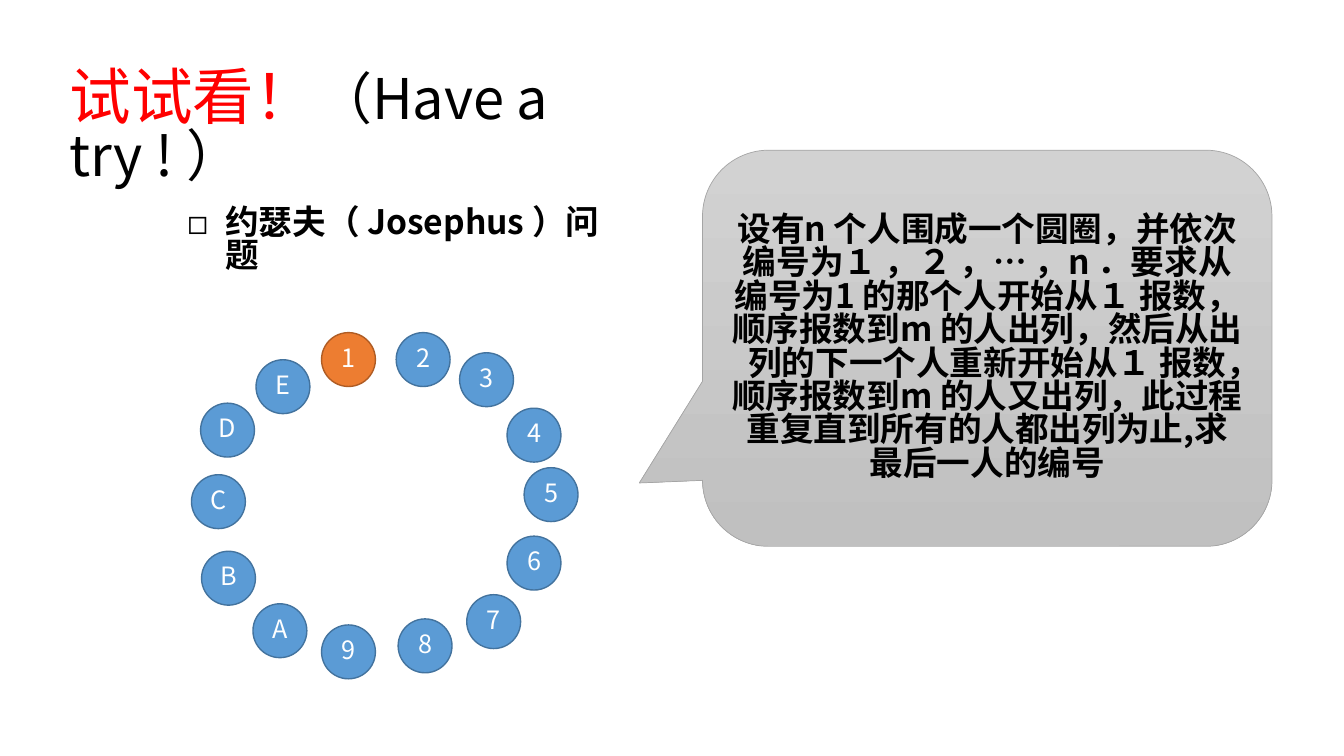
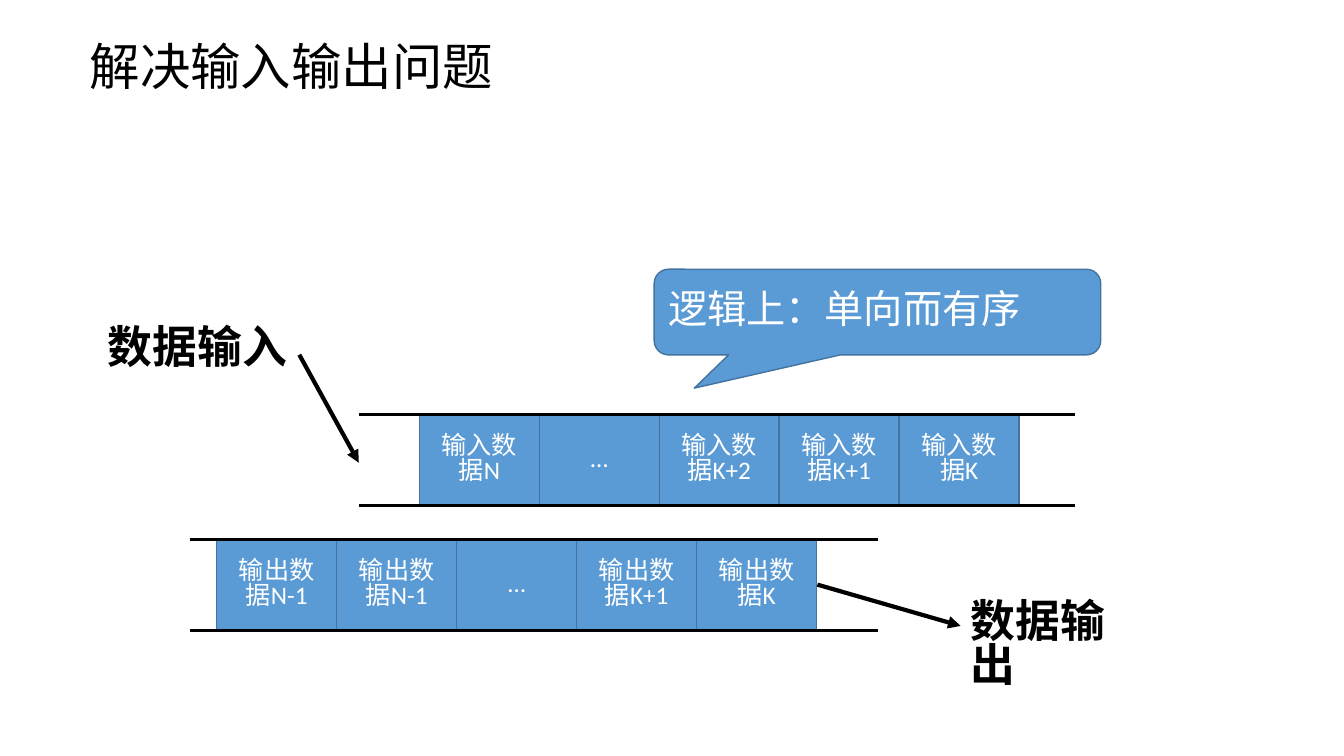
from lxml import etree
from pptx import Presentation
from pptx.dml.color import RGBColor
from pptx.enum.shapes import MSO_CONNECTOR, MSO_SHAPE
from pptx.enum.text import MSO_ANCHOR, MSO_AUTO_SIZE, PP_ALIGN
from pptx.oxml.ns import qn
from pptx.util import Pt

ELLIPSE = MSO_SHAPE.OVAL
RECTANGLE = MSO_SHAPE.RECTANGLE
CALLOUT = MSO_SHAPE.ROUNDED_RECTANGULAR_CALLOUT
STRAIGHT = MSO_CONNECTOR.STRAIGHT
TOP, MIDDLE = MSO_ANCHOR.TOP, MSO_ANCHOR.MIDDLE
LEFT, CENTER = PP_ALIGN.LEFT, PP_ALIGN.CENTER
NO_AUTOFIT = MSO_AUTO_SIZE.NONE

CJK_FONT, LATIN_FONT = "Noto Sans CJK SC", "Calibri"
BLACK, WHITE, RED = "000000", "FFFFFF", "FF0000"
BLUE, BLUE_EDGE = "5B9BD5", "43739E"
ORANGE, ORANGE_EDGE = "ED7D31", "AF5C24"
GREY_TOP, GREY_BOTTOM, GREY_EDGE = "D2D2D2", "C0C0C0", "A5A5A5"
LINE_SPACING = 0.83

PERSON_SIZE = 38.5
PEOPLE = {
    "1": (229.7, 237.6), "2": (283, 237.6), "3": (328.3, 252),
    "4": (362.2, 291.6), "5": (374.4, 334.1), "6": (362.2, 383),
    "7": (333.4, 424.8), "8": (284.4, 442.1), "9": (229.7, 446.4),
    "A": (180.7, 431.3), "B": (144, 393.8), "C": (136.8, 339.1),
    "D": (143.3, 288), "E": (182.9, 257),
}
PROBLEM = (
    "设有n 个人围成一个圆圈，并依次编号为１ ，２ ，⋯ ，n ．"
    "要求从编号为1 的那个人开始从１ 报数，顺序报数到m 的人出列，"
    "然后从出列的下一个人重新开始从１ 报数，顺序报数到m 的人又出列，"
    "此过程重复直到所有的人都出列为止,求最后一人的编号"
)
CELL_WIDTH, CELL_HEIGHT = 85.7, 65
INPUT_CELLS = ["输入数据N", "…", "输入数据K+2", "输入数据K+1", "输入数据K"]
OUTPUT_CELLS = ["输出数据N-1", "输出数据N-1", "…", "输出数据K+1", "输出数据K"]


def rgb(color):
    return RGBColor.from_string(color)


def points(*lengths):
    return [Pt(length) for length in lengths]


def write(shape, runs, align=LEFT, anchor=TOP, bold=False, font=CJK_FONT):
    frame = shape.text_frame
    frame.word_wrap = True
    frame.auto_size = NO_AUTOFIT
    frame.vertical_anchor = anchor
    paragraph = frame.paragraphs[0]
    paragraph.alignment = align
    paragraph.line_spacing = LINE_SPACING
    paragraph.space_before = Pt(0)
    for text, size, color in runs:
        run = paragraph.add_run()
        run.text = text
        run.font.size = Pt(size)
        run.font.bold = bold
        run.font.name = font
        run.font.color.rgb = rgb(color)
        east_asian = etree.Element(qn("a:ea"), typeface=CJK_FONT)
        run.font._element.find(qn("a:latin")).addnext(east_asian)
    return paragraph


def place(shape, box):
    shape.left, shape.top, shape.width, shape.height = points(*box)


def add_title(slide, box, runs):
    place(slide.shapes.title, box)
    write(slide.shapes.title, runs)


def add_bullet(slide, box, text, size, indent):
    body = slide.placeholders[1]
    place(body, box)
    paragraph = write(body, [(text, size, BLACK)], bold=True)
    properties = paragraph._p.get_or_add_pPr()
    properties.set("marL", str(Pt(indent)))
    properties.set("indent", str(-Pt(indent)))
    etree.SubElement(properties, qn("a:buFont"), typeface=CJK_FONT)
    etree.SubElement(properties, qn("a:buChar"), char="◻")


def add_label(slide, box, text, size):
    label = slide.shapes.add_textbox(*points(*box))
    write(label, [(text, size, BLACK)], bold=True)


def add_block(shapes, kind, box, fill=BLUE, edge=BLUE_EDGE, edge_width=1):
    block = shapes.add_shape(kind, *points(*box))
    block.shadow.inherit = False
    if isinstance(fill, tuple):
        block.fill.gradient()
        block.fill.gradient_angle = 270
        for stop, color in zip(block.fill.gradient_stops, fill):
            stop.color.rgb = rgb(color)
    else:
        block.fill.solid()
        block.fill.fore_color.rgb = rgb(fill)
    block.line.color.rgb = rgb(edge)
    block.line.width = Pt(edge_width)
    return block


def add_callout(slide, box, tip, **style):
    callout = add_block(slide.shapes, CALLOUT, box, **style)
    for index, value in enumerate((*tip, 0.167)):
        callout.adjustments[index] = value
    return callout


def add_line(shapes, start, end, width, arrow=False):
    line = shapes.add_connector(STRAIGHT, *points(*start, *end))
    line.line.color.rgb = rgb(BLACK)
    line.line.width = Pt(width)
    if arrow:
        etree.SubElement(line.line._get_or_add_ln(), qn("a:tailEnd"), type="triangle")
    etree.SubElement(line._element.spPr, qn("a:effectLst"))


def add_queue(slide, left, top, labels, rail_start, rail_end):
    queue = slide.shapes.add_group_shape().shapes
    for index, label in enumerate(labels):
        box = (left + index * CELL_WIDTH, top, CELL_WIDTH, CELL_HEIGHT)
        cell = add_block(queue, RECTANGLE, box)
        write(cell, [(label, 18, WHITE)], CENTER, MIDDLE, font=LATIN_FONT)
    for rail in (top, top + CELL_HEIGHT):
        add_line(queue, (rail_start, rail), (rail_end, rail), 2.25)


def build_josephus(slide):
    add_title(slide, (42.5, 46.8, 463.7, 60.5),
              [("试试看！", 44, RED), ("（Have a try ! ）", 40, BLACK)])
    add_bullet(slide, (126.7, 144.7, 314.6, 36), "约瑟夫（ Josephus ）问题", 24, 27)
    for label, (left, top) in PEOPLE.items():
        fill, edge = (ORANGE, ORANGE_EDGE) if label == "1" else (BLUE, BLUE_EDGE)
        box = (left, top, PERSON_SIZE, PERSON_SIZE)
        person = add_block(slide.shapes, ELLIPSE, box, fill, edge)
        write(person, [(label, 18, WHITE)], CENTER, MIDDLE)
    problem = add_callout(slide, (501.8, 107.3, 406.8, 283), (-0.611, 0.34),
                          fill=(GREY_TOP, GREY_BOTTOM), edge=GREY_EDGE, edge_width=0.5)
    write(problem, [(PROBLEM, 24, BLACK)], CENTER, MIDDLE, bold=True)


def build_queues(slide):
    add_title(slide, (56.9, 28.8, 305.3, 51), [("解决输入输出问题", 36, BLACK)])
    add_queue(slide, 299.5, 296, INPUT_CELLS, 256.3, 768.2)
    add_queue(slide, 154.8, 385.2, OUTPUT_CELLS, 135.4, 627.1)
    order = add_callout(slide, (467.3, 192.3, 319, 61.2), (-0.41, 0.888))
    write(order, [("逻辑上：单向而有序", 28, WHITE)], LEFT, MIDDLE, font=LATIN_FONT)
    add_label(slide, (69.8, 230.4, 146, 46), "数据输入", 32)
    add_line(slide.shapes, (213.8, 253.4), (256.3, 330.5), 3, arrow=True)
    add_label(slide, (686.2, 426.2, 127.4, 85), "数据输出", 32)
    add_line(slide.shapes, (583.9, 417.6), (686.2, 447.1), 3, arrow=True)


def main():
    deck = Presentation()
    deck.slide_width, deck.slide_height = points(960, 540)
    title_and_body, title_only = deck.slide_layouts[1], deck.slide_layouts[5]
    build_josephus(deck.slides.add_slide(title_and_body))
    build_queues(deck.slides.add_slide(title_only))
    deck.save("out.pptx")


if __name__ == "__main__":
    main()
